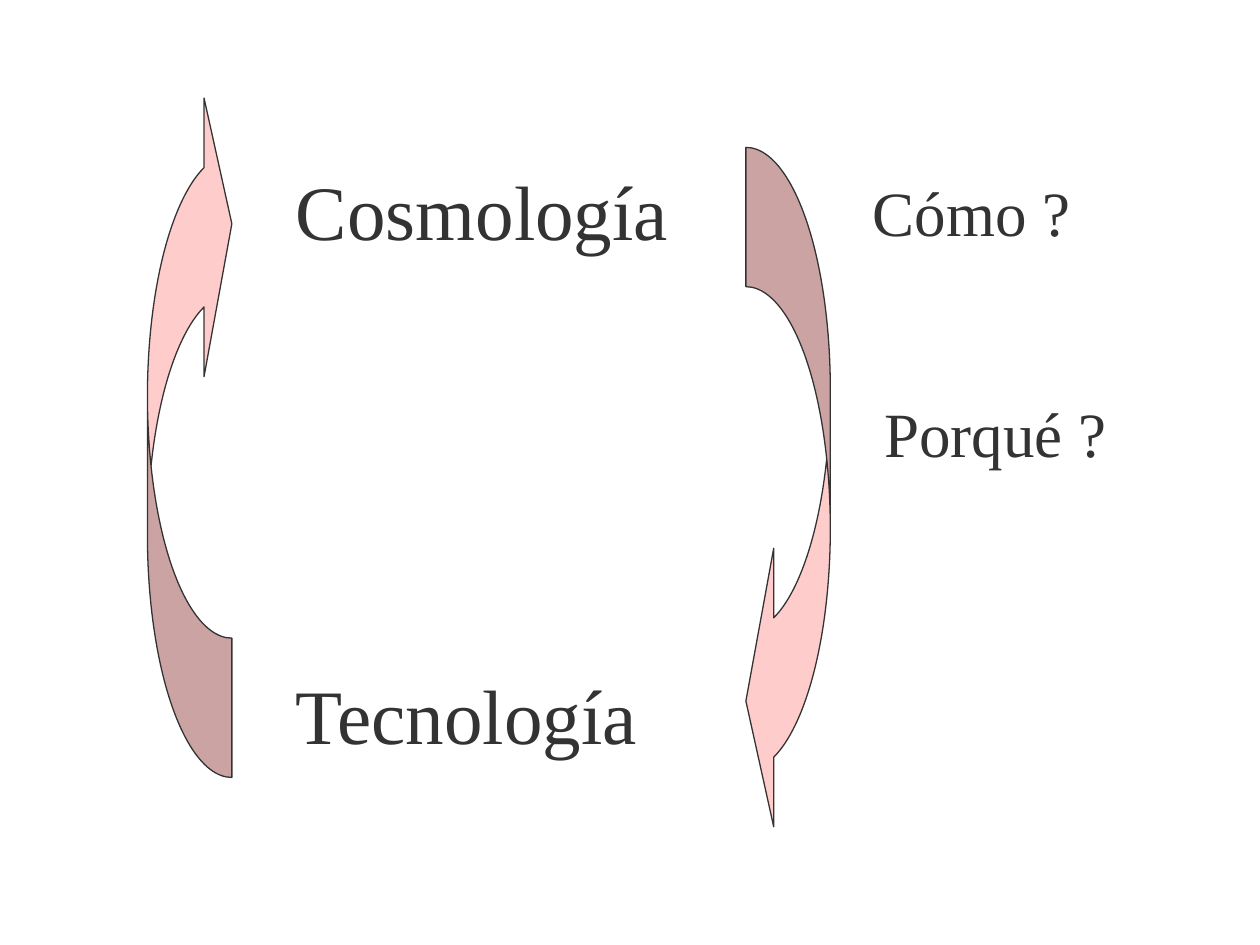
from pptx import Presentation
from pptx.dml.color import RGBColor
from pptx.enum.shapes import MSO_SHAPE
from pptx.enum.text import MSO_AUTO_SIZE
from pptx.util import Inches, Pt

INK = "333333"
PINK = "FFCCCC"
LABEL_LEFT = 2.25
ARROW_SIZE = (0.67, 5.5)
# Band thickness, head width and head length, as shares of the arrow's width
ARROW_SHARES = (1.65, 3.3, 0.33)


def color(hex_code):
    return RGBColor.from_string(hex_code)


def add_label(page, text, left, top, width, height, size):
    box = page.shapes.add_textbox(*map(Inches, (left, top, width, height)))
    frame = box.text_frame
    frame.word_wrap = True
    frame.auto_size = MSO_AUTO_SIZE.SHAPE_TO_FIT_TEXT
    span = frame.paragraphs[0].add_run()
    span.text = text
    for name, value in {"name": "Times New Roman", "size": Pt(size)}.items():
        setattr(span.font, name, value)
    span.font.color.rgb = color(INK)


def add_cycle_arrow(page, left, top, rotation):
    arrow = page.shapes.add_shape(
        MSO_SHAPE.CURVED_LEFT_ARROW, *map(Inches, (left, top, *ARROW_SIZE)))
    for index, share in enumerate(ARROW_SHARES):
        arrow.adjustments[index] = share
    arrow.rotation = rotation
    arrow.shadow.inherit = False
    arrow.fill.solid()
    arrow.fill.fore_color.rgb = color(PINK)
    arrow.line.color.rgb = color(INK)
    arrow.line.width = Pt(0.75)


def main():
    deck = Presentation()
    deck.slide_width, deck.slide_height = Inches(10), Inches(7.5)
    page = deck.slides.add_slide(deck.slide_layouts[6])

    for text, top in (("Tecnología", 5.25), ("Cosmología", 1.25)):
        add_label(page, text, LABEL_LEFT, top, 3.25, 0.84, 44)
    for text, left, top in (("Cómo ?", 6.83, 1.33), ("Porqué ?", 6.92, 3.08)):
        add_label(page, text, left, top, 2.58, 0.7, 36)

    for left, top, rotation in ((1.17, 0.67, 180), (5.92, 1.17, 0)):
        add_cycle_arrow(page, left, top, rotation)

    deck.save("out.pptx")


if __name__ == "__main__":
    main()
